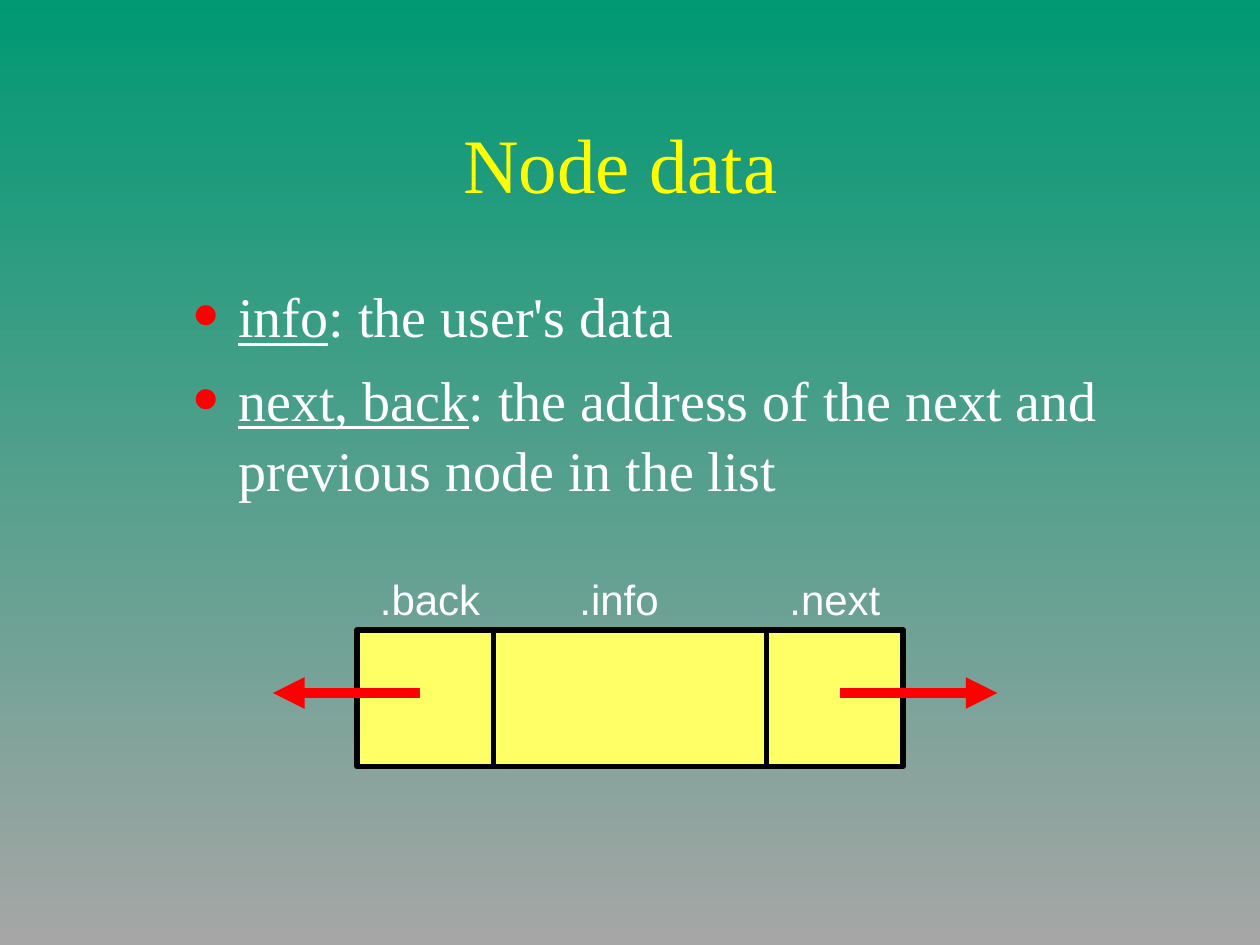
import pptx
import pptx.dml.color
import pptx.enum.shapes
import pptx.enum.text
import pptx.oxml
import pptx.oxml.ns
import pptx.util
import lxml.etree

EMU_PER_PX = 7620
SERIF = {"name": "Times New Roman"}
WHITE, BLACK, RED, YELLOW = "FFFFFF", "000000", "FF0000", "FFFF66"
NODE_TOP, NODE_BOTTOM = 600, 730
ARROW_Y = 660


def px(length):
    return pptx.util.Emu(length * EMU_PER_PX)


def colour(value):
    return pptx.dml.color.RGBColor.from_string(value)


def apply_format(target, values):
    for name, value in values.items():
        setattr(target, name, value)


def add_xml(parent, tag, **attributes):
    return lxml.etree.SubElement(parent, pptx.oxml.ns.qn(tag), attributes)


def add_span(para, words, size, hue, **values):
    span = para.add_run()
    span.text = words
    apply_format(span.font, {"size": pptx.util.Pt(size), **values})
    span.font.color.rgb = colour(hue)


def place(box, left, top, width, height):
    apply_format(box, {"left": px(left), "top": px(top),
                       "width": px(width), "height": px(height)})


def set_background(page):
    fill = page.background.fill
    fill.gradient()
    fill.gradient_angle = 270
    for stop, (position, hue) in zip(fill.gradient_stops, [(0, "009973"), (1, "A6A6A6")]):
        stop.position = position
        stop.color.rgb = colour(hue)


def fill_title(box, words):
    place(box, 90, 80, 1020, 150)
    apply_format(box.text_frame, {"vertical_anchor": pptx.enum.text.MSO_ANCHOR.MIDDLE,
                                  "auto_size": pptx.enum.text.MSO_AUTO_SIZE.NONE})
    para = box.text_frame.paragraphs[0]
    para.alignment = pptx.enum.text.PP_ALIGN.CENTER
    add_span(para, words, 44, "FFFF00", **SERIF)


def add_bullet(para):
    properties = para._p.get_or_add_pPr()
    apply_format(para, {"line_spacing": 1.04})
    properties.set("marL", str(px(45)))
    properties.set("indent", str(px(-45)))
    add_xml(add_xml(properties, "a:buClr"), "a:srgbClr", val=RED)
    add_xml(properties, "a:buSzPct", val="150000")
    add_xml(properties, "a:buFont", typeface="Times New Roman")
    add_xml(properties, "a:buChar", char="•")


def fill_list(box, items):
    place(box, 170, 260, 900, 240)
    frame = box.text_frame
    frame.auto_size = pptx.enum.text.MSO_AUTO_SIZE.NONE
    for index, (term, meaning) in enumerate(items):
        para = frame.add_paragraph() if index else frame.paragraphs[0]
        add_bullet(para)
        para.space_before = pptx.util.Pt(8 if index else 0)
        add_span(para, term, 32, WHITE, underline=True, **SERIF)
        add_span(para, meaning, 32, WHITE, underline=False, **SERIF)


def add_node(page, left, width):
    node = page.shapes.add_shape(pptx.enum.shapes.MSO_SHAPE.RECTANGLE, px(left),
                                 px(NODE_TOP), px(width), px(NODE_BOTTOM - NODE_TOP))
    node.shadow.inherit = False
    node.fill.solid()
    node.fill.fore_color.rgb = colour(YELLOW)
    node.line.color.rgb = colour(BLACK)
    node.line.width = pptx.util.Pt(3)


def add_line(page, start, end, hue, weight, arrow=False):
    line = page.shapes.add_connector(pptx.enum.shapes.MSO_CONNECTOR.STRAIGHT,
                                     *map(px, start + end))
    line.line.color.rgb = colour(hue)
    line.line.width = pptx.util.Pt(weight)
    if arrow:
        add_xml(line.line._get_or_add_ln(), "a:tailEnd", type="triangle")
    add_xml(line._element.spPr, "a:effectLst")


def add_label(page, left, words):
    box = page.shapes.add_textbox(px(left), px(540), px(150), px(60))
    box.text_frame.word_wrap = True
    add_span(box.text_frame.paragraphs[0], words, 24, WHITE, name="Arial")


def main():
    deck = pptx.Presentation()
    deck.slide_width, deck.slide_height = px(1200), px(900)
    page = deck.slides.add_slide(deck.slide_layouts[1])
    set_background(page)
    fill_title(page.shapes.title, "Node data ")
    fill_list(page.placeholders[1], [
        ("info", ": the user's data"),
        ("next, back", ": the address of the next and previous node in the list"),
    ])
    add_node(page, 340, 520)
    for x in (470, 730):
        add_line(page, (x, NODE_TOP), (x, NODE_BOTTOM), BLACK, 3)
    for left, words in ((350, ".back"), (740, ".next"), (540, ".info")):
        add_label(page, left, words)
    for start, end in ((400, 260), (800, 950)):
        add_line(page, (start, ARROW_Y), (end, ARROW_Y), RED, 6, arrow=True)
    deck.save("out.pptx")


if __name__ == "__main__":
    main()
